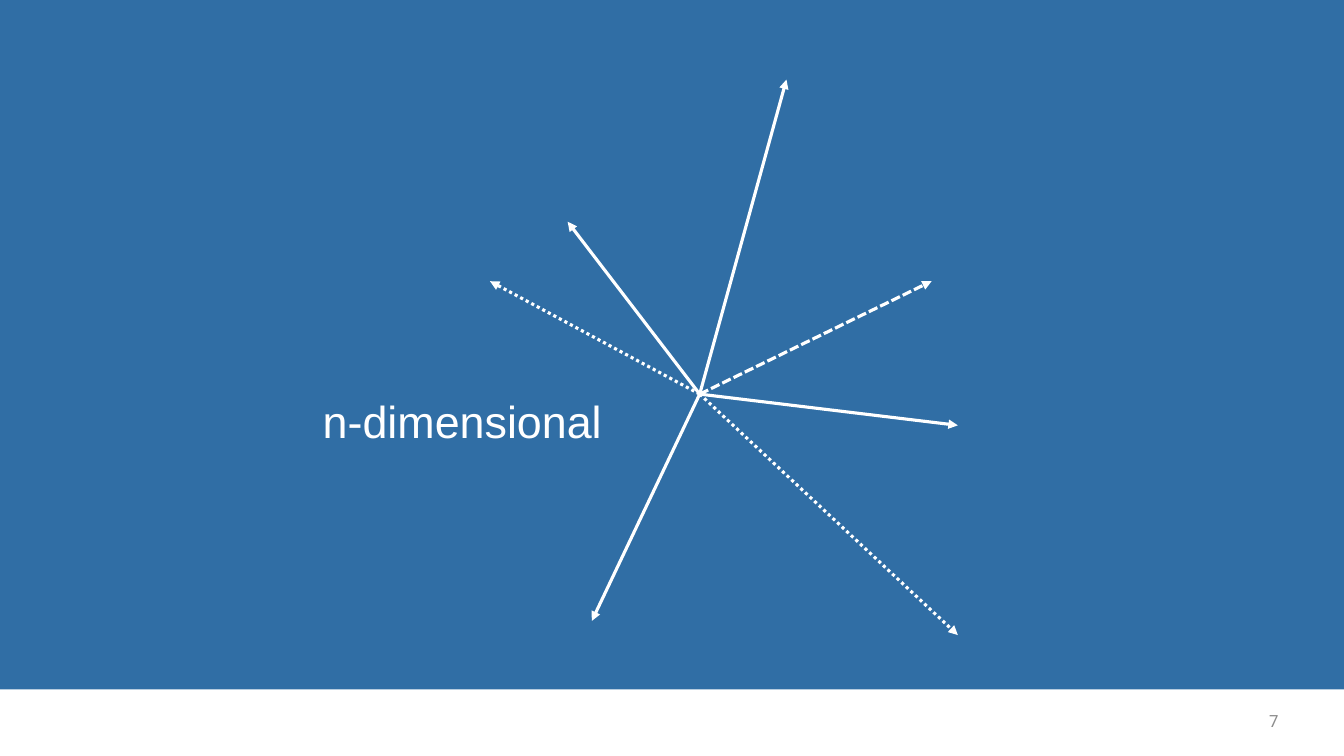
from dataclasses import dataclass

import pptx
import pptx.dml.color
import pptx.enum.dml
import pptx.enum.shapes
import pptx.enum.text
import pptx.oxml
import pptx.oxml.ns
import pptx.util

Inches = pptx.util.Inches
Dash = pptx.enum.dml.MSO_LINE


@dataclass(frozen=True)
class Theme:
    """Colours, fonts and sizes of the slide."""
    blue: str = "306EA5"
    white: str = "FFFFFF"
    grey: str = "8C8C8C"
    label_font: str = "Arial"
    label_size: int = 32
    number_font: str = "Roboto"
    number_size: int = 12
    line_width: float = 2.25


THEME = Theme()
WIDTH, HEIGHT = 13.33, 7.5
FOOTER_HEIGHT = 0.66
ORIGIN = (6.94, 3.91)
AXES = [
    ((-1.31, -1.71), None),
    ((2.3, -1.12), Dash.SQUARE_DOT),
    ((-1.07, 2.25), None),
    ((2.56, 0.31), None),
    ((0.86, -3.12), None),
    ((2.56, 2.39), Dash.ROUND_DOT),
    ((-2.08, -1.12), Dash.ROUND_DOT),
]


def colour(code):
    """Turn a hex code into a colour."""
    return pptx.dml.color.RGBColor.from_string(code)


def add_text(page, box, text, font, size, code, anchor):
    """Add one right-aligned line of text in the box."""
    frame = page.shapes.add_textbox(*map(Inches, box)).text_frame
    frame.word_wrap = True
    frame.vertical_anchor = anchor
    para = frame.paragraphs[0]
    para.text = text
    para.alignment = pptx.enum.text.PP_ALIGN.RIGHT
    para.font.name = font
    para.font.size = pptx.util.Pt(size)
    para.font.color.rgb = colour(code)


def add_axis(page, start, offset, dash):
    """Draw an arrow from the start point along the offset."""
    end = [a + b for a, b in zip(start, offset)]
    axis = page.shapes.add_connector(
        pptx.enum.shapes.MSO_CONNECTOR.STRAIGHT, *map(Inches, (*start, *end)))
    axis.line.color.rgb = colour(THEME.white)
    axis.line.width = pptx.util.Pt(THEME.line_width)
    if dash:
        axis.line.dash_style = dash
    namespace = pptx.oxml.ns.nsdecls("a")
    properties = axis.element.spPr
    properties.find(pptx.oxml.ns.qn("a:ln")).append(
        pptx.oxml.parse_xml(f'<a:tailEnd {namespace} type="triangle"/>'))
    properties.append(pptx.oxml.parse_xml(f"<a:effectLst {namespace}/>"))


def add_footer(page, box, number):
    """Draw the white footer band with the page number at its right."""
    left, top, width, height = box
    band = page.shapes.add_shape(
        pptx.enum.shapes.MSO_SHAPE.RECTANGLE, *map(Inches, box))
    band.shadow.inherit = False
    band.fill.solid()
    band.fill.fore_color.rgb = colour(THEME.white)
    band.line.fill.background()
    add_text(page, (left + width - 3.55, top + 0.11, 3, 0.4), number,
             THEME.number_font, THEME.number_size, THEME.grey,
             pptx.enum.text.MSO_ANCHOR.MIDDLE)


def add_diagram(page, origin):
    """Draw the axes around the origin and their label to its left."""
    for offset, dash in AXES:
        add_axis(page, origin, offset, dash)
    left, top = origin
    add_text(page, (left - 4.63, top - 0.05, 3.76, 0.64), "n-dimensional",
             THEME.label_font, THEME.label_size, THEME.white,
             pptx.enum.text.MSO_ANCHOR.TOP)


def main():
    """Build the slide and save the deck."""
    deck = pptx.Presentation()
    deck.slide_width, deck.slide_height = Inches(WIDTH), Inches(HEIGHT)
    page = deck.slides.add_slide(deck.slide_layouts[6])
    page.background.fill.solid()
    page.background.fill.fore_color.rgb = colour(THEME.blue)
    add_footer(page, (0, HEIGHT - FOOTER_HEIGHT, WIDTH, FOOTER_HEIGHT), "7")
    add_diagram(page, ORIGIN)
    deck.save("out.pptx")


if __name__ == "__main__":
    main()
